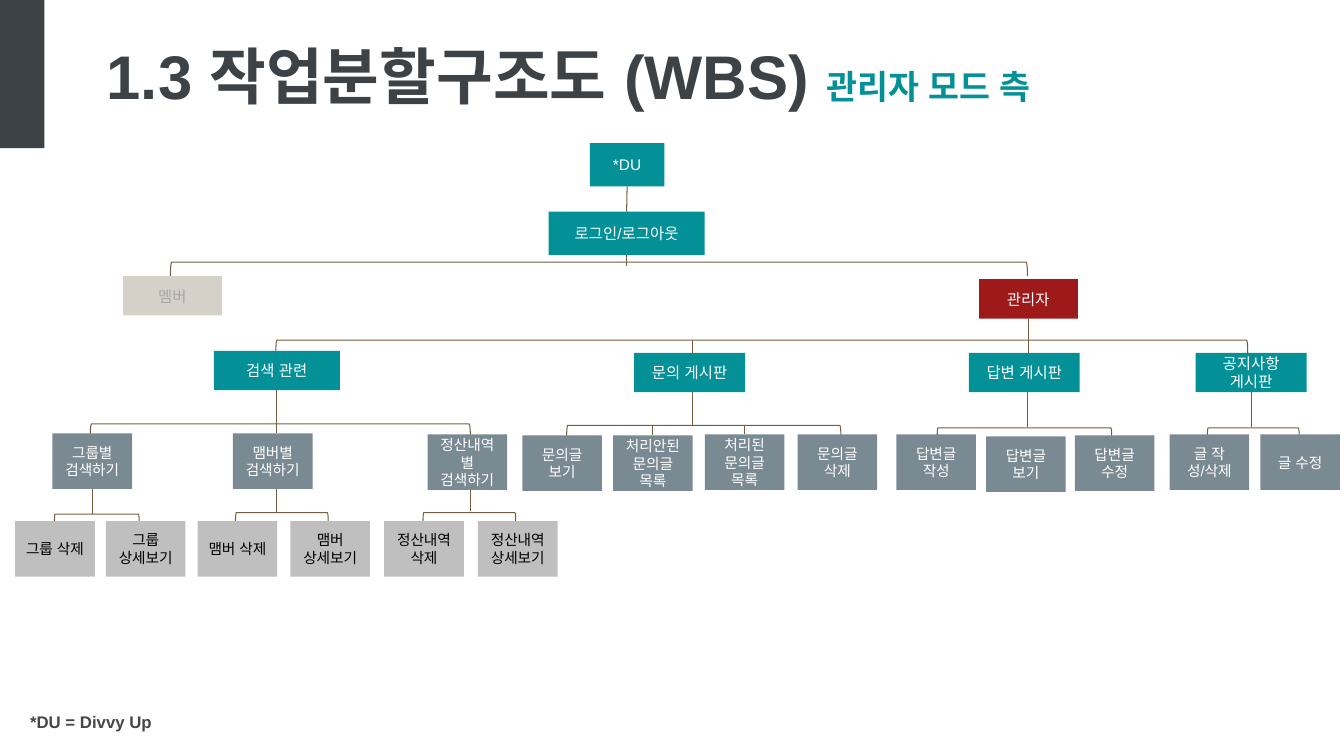
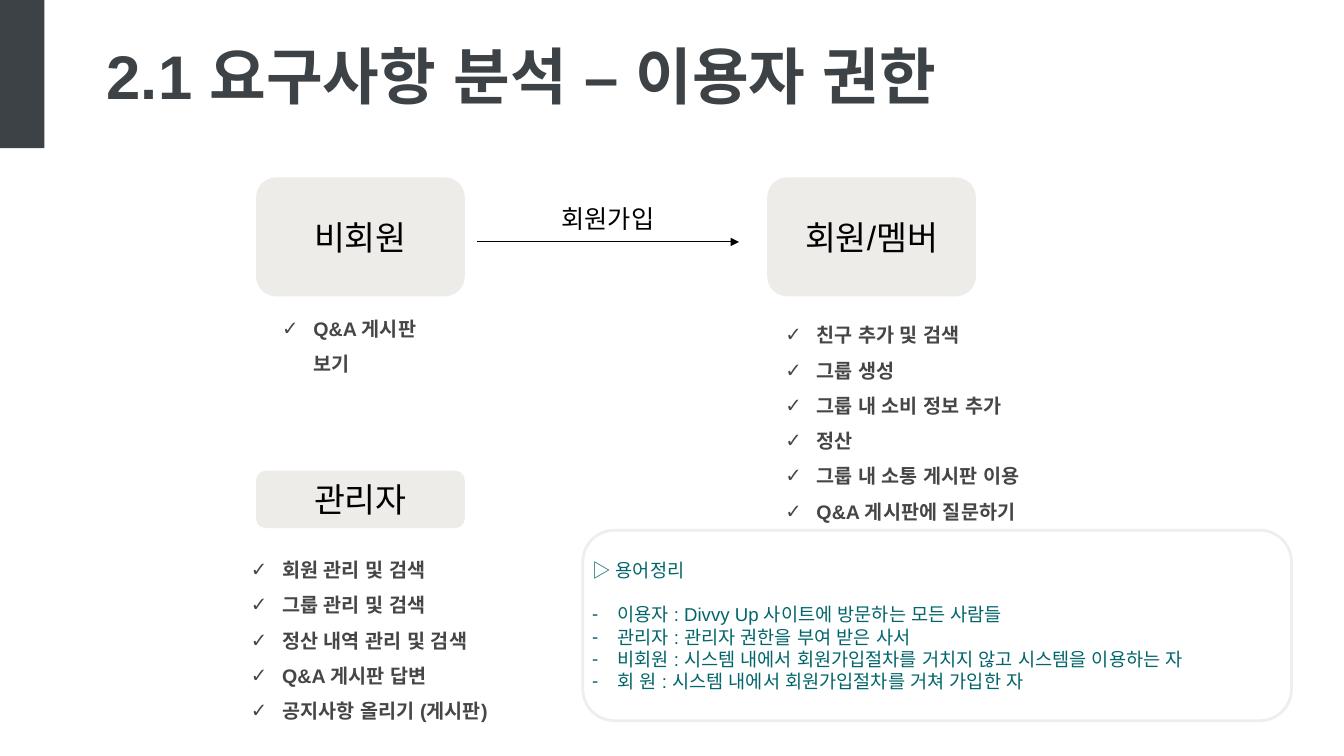
from dataclasses import dataclass
from typing import Any, Optional

from lxml import etree
from pptx import Presentation
from pptx.dml.color import RGBColor
from pptx.enum.shapes import MSO_CONNECTOR, MSO_SHAPE
from pptx.enum.text import MSO_ANCHOR, MSO_AUTO_SIZE, PP_ALIGN
from pptx.oxml.ns import qn
from pptx.util import Pt

RECT, ROUND = MSO_SHAPE.RECTANGLE, MSO_SHAPE.ROUNDED_RECTANGLE
BRACKET, STRAIGHT = MSO_SHAPE.LEFT_BRACKET, MSO_CONNECTOR.STRAIGHT
CENTER, LEFT, MIDDLE = PP_ALIGN.CENTER, PP_ALIGN.LEFT, MSO_ANCHOR.MIDDLE
TOP_SIDE, BOTTOM_SIDE = 0, 2

EMU_PER_PX = 9144  # 100 px to the inch
FONT = "Arial"

SLATE = RGBColor(0x3C, 0x42, 0x45)
TEAL = RGBColor(0x03, 0x90, 0x97)
DARK_TEAL = RGBColor(0x02, 0x65, 0x6A)
RED = RGBColor(0x9E, 0x1A, 0x1A)
SAND = RGBColor(0xD5, 0xD1, 0xC9)
PALE = RGBColor(0xEE, 0xEC, 0xE9)
MIST = RGBColor(0xEC, 0xEF, 0xF0)
STEEL = RGBColor(0x7A, 0x8A, 0x92)
SILVER = RGBColor(0xBF, 0xBF, 0xBF)
GRAY = RGBColor(0xA6, 0xA6, 0xA6)
CHARCOAL = RGBColor(0x46, 0x46, 0x46)
BROWN = RGBColor(0x74, 0x5E, 0x3F)
BLACK = RGBColor(0, 0, 0)
WHITE = RGBColor(0xFF, 0xFF, 0xFF)

Format = dict[str, Any]
TITLE: Format = {"size": Pt(44), "bold": True, "color": SLATE}
SUBTITLE: Format = {"size": Pt(24), "bold": True, "color": TEAL}
FOOTNOTE: Format = {"size": Pt(12), "bold": True, "color": CHARCOAL}
BRANCH: Format = {"size": Pt(11), "color": WHITE}
MUTED: Format = {"size": Pt(11), "color": GRAY}
TASK: Format = {"size": Pt(10.5), "color": WHITE}
LEAF: Format = {"size": Pt(10.5), "color": BLACK}
ROLE: Format = {"size": Pt(24), "color": BLACK}
ARROW_LABEL: Format = {"size": Pt(18), "color": BLACK}
RIGHT_ITEM: Format = {"size": Pt(14), "bold": True, "color": CHARCOAL}
TERM: Format = {"size": Pt(13.3), "color": DARK_TEAL}


@dataclass(frozen=True)
class Box:
    left: int
    top: int
    width: int
    height: int


@dataclass(frozen=True)
class Tier:
    height: int
    fill: RGBColor
    font: Format


@dataclass(frozen=True)
class Node:
    tier: Tier
    left: int
    top: int
    width: int
    text: str


@dataclass(frozen=True)
class Stem:
    """Vertical line; a joined end takes its place from the named node."""
    x: int = 0
    y1: int = 0
    y2: int = 0
    above: str = ""
    below: str = ""


@dataclass(frozen=True)
class Bullet:
    char: str
    margin: int
    hang: int


@dataclass(frozen=True)
class Rights:
    box: Box
    items: tuple[str, ...]


MAIN = Tier(43, TEAL, BRANCH)
BOARD = Tier(39, TEAL, BRANCH)
ADMIN = Tier(39, RED, BRANCH)
MEMBER = Tier(39, SAND, MUTED)
WORK = Tier(55, STEEL, TASK)
DETAIL = Tier(55, SILVER, LEAF)
CELL = 79

NODES = (
    Node(MAIN, 585, 142, 74, "*DU"),
    Node(MAIN, 544, 210, 155, "로그인/로그아웃"),
    Node(MEMBER, 122, 274, 98, "멤버"),
    Node(ADMIN, 971, 277, 98, "관리자"),
    Node(BOARD, 212, 348, 125, "검색 관련"),
    Node(BOARD, 629, 350, 110, "문의 게시판"),
    Node(BOARD, 961, 350, 110, "답변 게시판"),
    Node(BOARD, 1186, 350, 110, "공지사항\n게시판"),
    Node(WORK, 52, 430, CELL, "그룹별\n검색하기"),
    Node(WORK, 231, 430, CELL, "맴버별 검색하기"),
    Node(WORK, 424, 431, CELL, "정산내역별\n검색하기"),
    Node(WORK, 518, 432, CELL, "문의글\n보기"),
    Node(WORK, 608, 432, CELL, "처리안된문의글\n목록"),
    Node(WORK, 699, 431, CELL, "처리된\n문의글\n목록"),
    Node(WORK, 791, 431, CELL, "문의글\n삭제"),
    Node(WORK, 889, 431, CELL, "답변글\n작성"),
    Node(WORK, 978, 433, CELL, "답변글\n보기"),
    Node(WORK, 1066, 432, CELL, "답변글\n수정"),
    Node(WORK, 1160, 431, CELL, "글 작성/삭제"),
    Node(WORK, 1250, 431, CELL, "글 수정"),
    Node(DETAIL, 15, 517, CELL, "그룹 삭제"),
    Node(DETAIL, 105, 517, CELL, "그룹\n상세보기"),
    Node(DETAIL, 196, 517, CELL, "맴버 삭제"),
    Node(DETAIL, 288, 517, CELL, "맴버\n상세보기"),
    Node(DETAIL, 381, 517, CELL, "정산내역 삭제"),
    Node(DETAIL, 474, 517, CELL, "정산내역\n상세보기"),
)

FORKS = (
    Box(169, 260, 850, 14), Box(274, 337, 964, 13), Box(90, 420, 377, 14),
    Box(562, 422, 272, 12), Box(930, 424, 173, 8), Box(1198, 424, 91, 8),
    Box(54, 510, 84, 8), Box(234, 508, 92, 9), Box(420, 508, 92, 9),
)

STEMS = (
    Stem(above="*DU", below="로그인/로그아웃"),
    Stem(above="로그인/로그아웃", y2=264),
    Stem(above="관리자", y2=350),
    Stem(above="검색 관련", y2=430),
    Stem(above="공지사항\n게시판", y2=424),
    Stem(above="그룹별\n검색하기", y2=510),
    Stem(y1=422, below="처리안된문의글\n목록"),
    Stem(y1=422, below="처리된\n문의글\n목록"),
    Stem(274, 485, 509), Stem(467, 486, 507),
    Stem(687, 337, 350), Stem(687, 389, 422), Stem(1019, 389, 424),
)

ROLES = (
    (Box(254, 176, 207, 118), "비회원"),
    (Box(761, 176, 207, 118), "회원/멤버"),
    (Box(254, 467, 207, 57), "관리자"),
)

RIGHTS = (
    Rights(Box(239, 298, 224, 81), ("Q&A 게시판 보기",)),
    Rights(Box(208, 537, 317, 187), (
        "회원 관리 및 검색", "그룹 관리 및 검색", "정산 내역 관리 및 검색",
        "Q&A 게시판 답변", "공지사항 올리기 (게시판)")),
    Rights(Box(738, 304, 314, 222), (
        "친구 추가 및 검색", "그룹 생성", "그룹 내 소비 정보 추가", "정산",
        "그룹 내 소통 게시판 이용", "Q&A 게시판에 질문하기")),
)

TERMS = (
    "이용자 : Divvy Up 사이트에 방문하는 모든 사람들",
    "관리자 : 관리자 권한을 부여 받은 사서",
    "비회원 : 시스템 내에서 회원가입절차를 거치지 않고 시스템을 이용하는 자",
    "회 원 : 시스템 내에서 회원가입절차를 거쳐 가입한 자",
)
CHECK, DASH = Bullet("✓", 62, 31), Bullet("-", 25, 25)


def px(n: int) -> int:
    return n * EMU_PER_PX


def emu(box: Box) -> tuple[int, ...]:
    return tuple(map(px, (box.left, box.top, box.width, box.height)))


# Text
def add_run(p, text: str, fmt: Format) -> None:
    r = p.add_run()
    r.text = text
    for name, value in {"name": FONT, **fmt}.items():
        if name == "color":
            r.font.color.rgb = value
        else:
            setattr(r.font, name, value)
    etree.SubElement(r._r.get_or_add_rPr(), qn("a:ea")).set("typeface", FONT)


def add_bullet(p, bullet: Bullet) -> None:
    pPr = p._p.get_or_add_pPr()
    pPr.set("marL", str(px(bullet.margin)))
    pPr.set("indent", str(-px(bullet.hang)))
    etree.SubElement(pPr, qn("a:buFont")).set("typeface", FONT)
    etree.SubElement(pPr, qn("a:buChar")).set("char", bullet.char)


def write(tf, lines, font: Format, bullet: Optional[Bullet] = None, **para) -> None:
    tf.word_wrap = True
    for line in lines:
        p = tf.paragraphs[0] if not tf.paragraphs[0].runs else tf.add_paragraph()
        if bullet:
            add_bullet(p, bullet)
        for name, value in para.items():
            setattr(p, name, value)
        add_run(p, line, font)


def add_label(s, box: Box, lines, font: Format, bullet: Optional[Bullet] = None, **para):
    tf = s.shapes.add_textbox(*emu(box)).text_frame
    tf.auto_size = MSO_AUTO_SIZE.SHAPE_TO_FIT_TEXT
    write(tf, lines, font, bullet, **para)
    return tf


# Shapes and lines
def add_panel(s, kind, box: Box, fill: Optional[RGBColor] = None,
              line: Optional[RGBColor] = None, weight: float = 0.75):
    sp = s.shapes.add_shape(kind, *emu(box))
    sp.shadow.inherit = False
    if fill is None:
        sp.fill.background()
    else:
        sp.fill.solid()
        sp.fill.fore_color.rgb = fill
    if line is None:
        sp.line.fill.background()
    else:
        sp.line.color.rgb = line
        sp.line.width = Pt(weight)
    sp.text_frame.vertical_anchor = MIDDLE
    return sp


def add_line(s, x1: int, y1: int, x2: int, y2: int, color: RGBColor):
    line = s.shapes.add_connector(STRAIGHT, x1, y1, x2, y2)
    line.line.color.rgb = color
    line.line.width = Pt(0.75)
    etree.SubElement(line._element.spPr, qn("a:effectLst"))
    return line


def add_fork(s, box: Box) -> None:
    # The bracket is turned a quarter, so its sides are swapped about its centre.
    dx = (box.width - box.height) // 2
    sp = add_panel(s, BRACKET, Box(box.left + dx, box.top - dx, box.height, box.width), line=BROWN)
    sp.rotation = 90


def add_stem(s, stem: Stem, nodes: dict[str, Any]) -> None:
    above, below = nodes.get(stem.above), nodes.get(stem.below)
    end = above or below
    x = end.left + end.width // 2 if end else px(stem.x)
    line = add_line(s, x, px(stem.y1), x, px(stem.y2), BROWN)
    if above:
        line.begin_connect(above, BOTTOM_SIDE)
    if below:
        line.end_connect(below, TOP_SIDE)


def add_page(prs, title: str, subtitle: str = ""):
    s = prs.slides.add_slide(prs.slide_layouts[6])
    add_panel(s, RECT, Box(0, 0, 44, 147), SLATE)
    tf = add_label(s, Box(96, 33, 1222, 84), [title], TITLE)
    if subtitle:
        add_run(tf.paragraphs[0], subtitle, SUBTITLE)
    return s


def build_wbs(prs) -> None:
    s = add_page(prs, "1.3 작업분할구조도 (WBS) ", "관리자 모드 측")
    for fork in FORKS:
        add_fork(s, fork)
    nodes = {}
    for node in NODES:
        tier = node.tier
        sp = add_panel(s, RECT, Box(node.left, node.top, node.width, tier.height), tier.fill)
        write(sp.text_frame, node.text.split("\n"), tier.font, alignment=CENTER)
        nodes[node.text] = sp
    for stem in STEMS:
        add_stem(s, stem, nodes)
    add_label(s, Box(20, 701, 201, 30), ["*DU = Divvy Up"], FOOTNOTE)


def build_rights(prs) -> None:
    s = add_page(prs, "2.1 요구사항 분석 – 이용자 권한")
    # Glossary
    tf = add_panel(s, ROUND, Box(578, 526, 703, 189), line=MIST, weight=2).text_frame
    for side in ("left", "top", "right", "bottom"):
        setattr(tf, f"margin_{side}", 0)
    write(tf, ["▷ 용어정리"], TERM, alignment=LEFT)
    write(tf, TERMS, TERM, DASH, alignment=LEFT)
    tf.paragraphs[1].space_before = Pt(16)
    # Roles and what each may do
    for box, name in ROLES:
        write(add_panel(s, ROUND, box, PALE).text_frame, [name], ROLE, alignment=CENTER)
    for rights in RIGHTS:
        add_label(s, rights.box, rights.items, RIGHT_ITEM, CHECK, line_spacing=1.5)
    # Sign-up arrow
    arrow = add_line(s, px(473), px(240), px(733), px(240), BLACK)
    etree.SubElement(arrow.line._get_or_add_ln(), qn("a:tailEnd")).set("type", "triangle")
    add_label(s, Box(526, 197, 154, 40), ["회원가입"], ARROW_LABEL, alignment=CENTER)


def main() -> None:
    prs = Presentation()
    prs.slide_width, prs.slide_height = px(1333), px(750)
    build_wbs(prs)
    build_rights(prs)
    prs.save("out.pptx")


if __name__ == "__main__":
    main()
